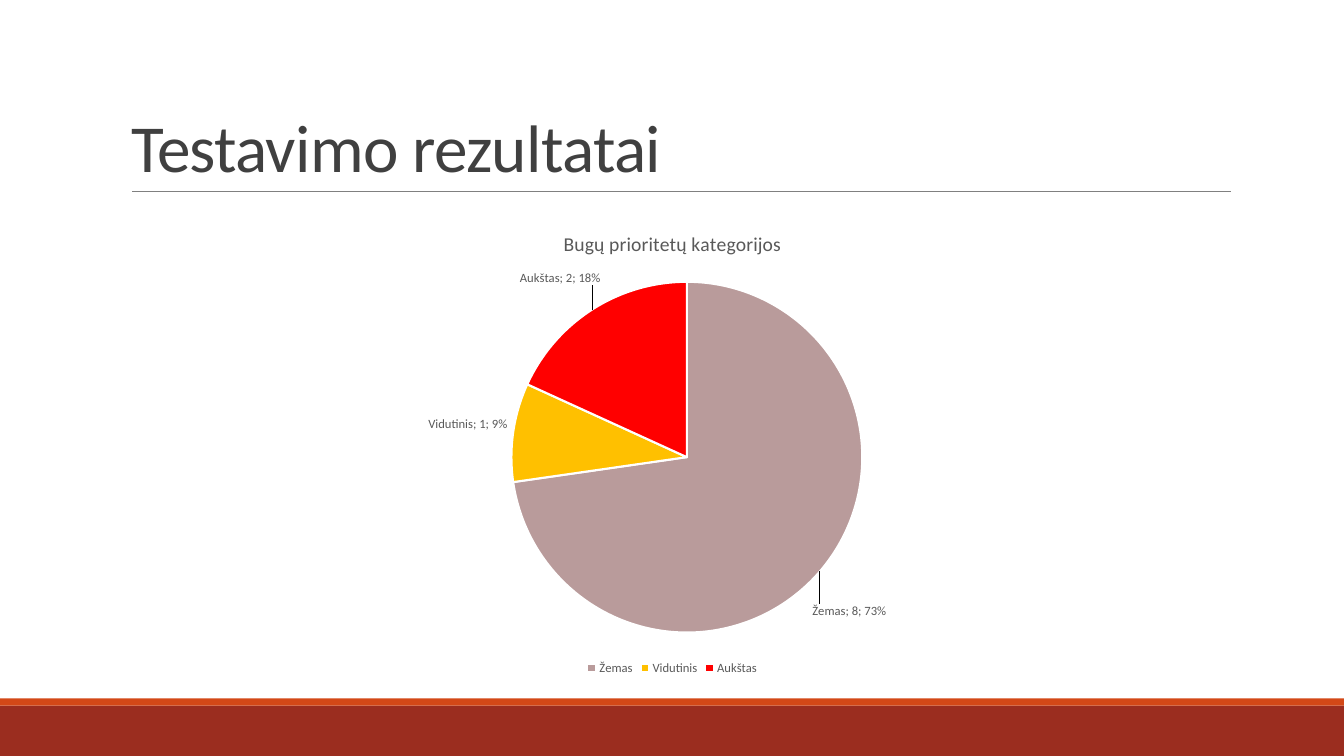
from lxml import etree
from pptx import Presentation
from pptx import oxml
from pptx import util as u
from pptx.chart.data import CategoryChartData
from pptx.dml.color import RGBColor
from pptx.enum import chart as kinds, shapes, text
from pptx.oxml import ns

FONT = "Calibri"
HUES = {"band": "9B2D1F", "strip": "D34817", "rule": "808080",
        "title": "404040", "label": "595959", "edge": "FFFFFF"}
# Category: value, colour, shift of its label
BUGS = {"Žemas": (8, "B99B9B", (-0.01, 0.06)),
        "Vidutinis": (1, "FFC000", None),
        "Aukštas": (2, "FF0000", (0.01, -0.04))}


def style(font, size, hue):
    font.name, font.size, font.bold = FONT, u.Pt(size), False
    font.color.rgb = RGBColor.from_string(HUES[hue])


deck = Presentation()
deck.slide_width, deck.slide_height = u.Inches(13.33), u.Inches(7.5)
slide = deck.slides.add_slide(deck.slide_layouts[5])

# Footer bands
for hue, top, high in (("band", 7, 0.5), ("strip", 6.93, 0.07)):
    bar = slide.shapes.add_shape(shapes.MSO_SHAPE.RECTANGLE, 0, u.Inches(top),
                                 deck.slide_width, u.Inches(high))
    bar.shadow.inherit = False
    bar.fill.solid()
    bar.fill.fore_color.rgb = RGBColor.from_string(HUES[hue])
    bar.line.fill.background()

# Rule under the title
rule = slide.shapes.add_connector(shapes.MSO_CONNECTOR.STRAIGHT, u.Inches(1.31),
                                  u.Inches(1.9), u.Inches(12.21), u.Inches(1.9))
rule.line.color.rgb = RGBColor.from_string(HUES["rule"])
rule.line.width = u.Pt(0.5)
etree.SubElement(rule.element.spPr, ns.qn("a:effectLst"))

# Title
title = slide.shapes.title
title.left, title.top = u.Inches(1.2), u.Inches(0.31)
title.width, title.height = u.Inches(11), u.Inches(1.59)
frame = title.text_frame
frame.text = "Testavimo rezultatai"
frame.vertical_anchor = text.MSO_ANCHOR.BOTTOM
para = frame.paragraphs[0]
para.alignment = text.PP_ALIGN.LEFT
para.line_spacing = 0.85
style(para.font, 48, "title")
para.runs[0].font._element.set("spc", "-50")

# Pie chart
data = CategoryChartData()
data.categories = list(BUGS)
data.add_series("Series 1", [bug[0] for bug in BUGS.values()])
chart = slide.shapes.add_chart(kinds.XL_CHART_TYPE.PIE, u.Inches(0.96), u.Inches(2.1),
                               u.Inches(11.42), u.Inches(4.64), data).chart
chart.font.name, chart.font.size = FONT, u.Pt(10)
chart.has_title = True
head = chart.chart_title.text_frame
head.text = "Bugų prioritetų kategorijos"
style(head.paragraphs[0].font, 14, "label")
chart.has_legend = True
chart.legend.position = kinds.XL_LEGEND_POSITION.BOTTOM
chart.legend.include_in_layout = False
style(chart.legend.font, 9, "label")

# Slices
plot = chart.plots[0]
plot.vary_by_categories = True
pie = plot.series[0]
for i, (count, hue, shift) in enumerate(BUGS.values()):
    form = pie.points[i].format
    form.fill.solid()
    form.fill.fore_color.rgb = RGBColor.from_string(hue)
    form.line.color.rgb = RGBColor.from_string(HUES["edge"])
    form.line.width = u.Pt(1.5)

# Labels: category, value and share
tags = pie.data_labels
style(tags.font, 9, "label")
tags.position = kinds.XL_LABEL_POSITION.OUTSIDE_END
tags.show_category_name = tags.show_value = tags.show_percentage = True
tags.show_legend_key = tags.show_series_name = False
gap = oxml.parse_xml(f'<c:separator {ns.nsdecls("c")}>; </c:separator>')
root = tags._element
lead = root.find(ns.qn("c:showLeaderLines"))
if lead is None:
    root.append(gap)
else:
    lead.addprevious(gap)

# Labels moved off their slices
spot = 0
for i, (count, hue, shift) in enumerate(BUGS.values()):
    if shift:
        root.insert(spot, oxml.parse_xml(
            f'<c:dLbl {ns.nsdecls("c")}><c:idx val="{i}"/><c:layout><c:manualLayout>'
            f'<c:x val="{shift[0]}"/><c:y val="{shift[1]}"/></c:manualLayout></c:layout>'
            '<c:dLblPos val="bestFit"/><c:showLegendKey val="0"/><c:showVal val="1"/>'
            '<c:showCatName val="1"/><c:showSerName val="0"/><c:showPercent val="1"/>'
            '<c:showBubbleSize val="0"/><c:separator>; </c:separator></c:dLbl>'))
        spot += 1

# Place of the pie inside the chart
area = plot._element.getparent()
for old in area.findall(ns.qn("c:layout")):
    area.remove(old)
area.insert(0, oxml.parse_xml(
    f'<c:layout {ns.nsdecls("c")}><c:manualLayout><c:layoutTarget val="inner"/>'
    '<c:xMode val="edge"/><c:yMode val="edge"/><c:x val="0.36"/><c:y val="0.15"/>'
    '<c:w val="0.305"/><c:h val="0.75"/></c:manualLayout></c:layout>'))

deck.save("out.pptx")
